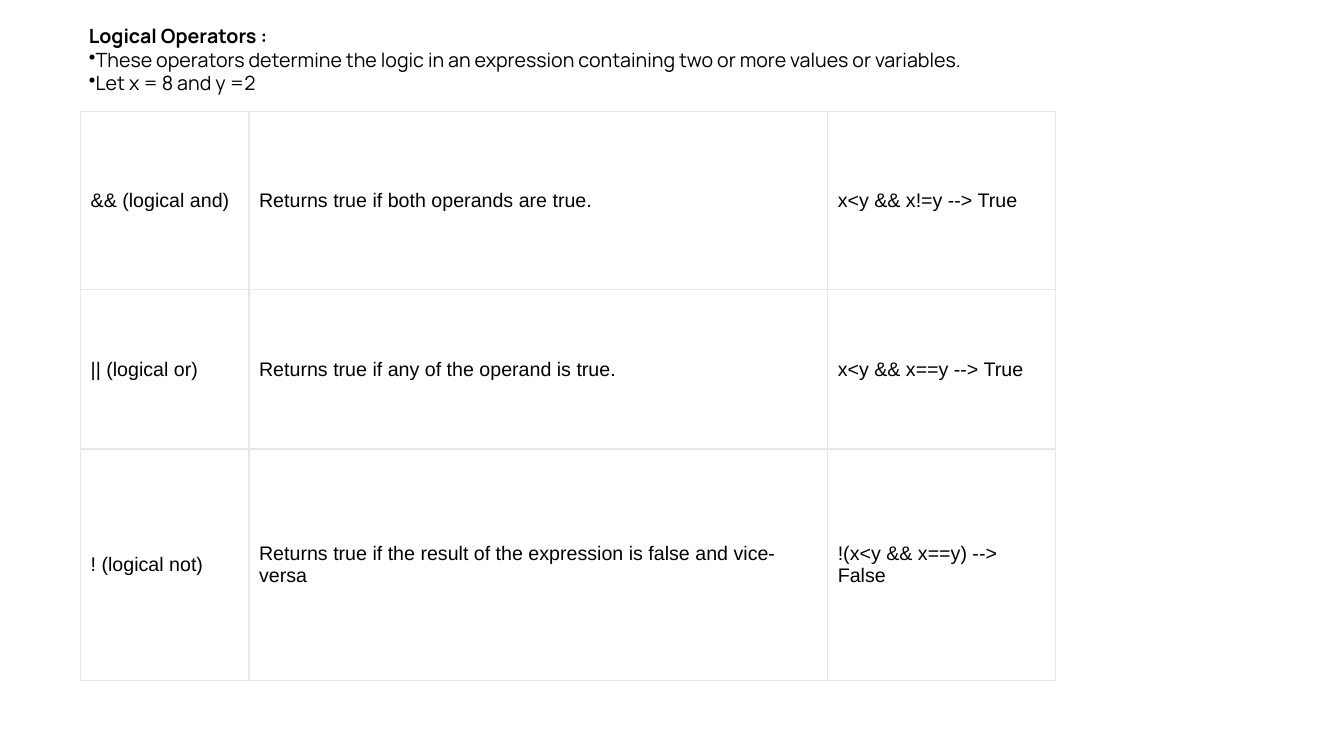
from lxml import etree
from pptx import Presentation, util as u
from pptx.dml.color import RGBColor
from pptx.enum import text
from pptx.oxml import ns

COLORS = {"ink": "000000", "rule": "E5E7EB"}

INTRO = [
    ("Logical Operators :", False),
    ("These operators determine the logic in an expression containing two or more values or variables.", True),
    ("Let x = 8 and y =2", True),
]

OPERATORS = [
    ("&& (logical and)", "Returns true if both operands are true.", "x<y && x!=y --> True"),
    ("|| (logical or)", "Returns true if any of the operand is true.", "x<y && x==y --> True"),
    ("! (logical not)", "Returns true if the result of the expression is false and vice-versa",
     "!(x<y && x==y) --> False"),
]


class OperatorSlide:
    """Holds the style and the slide; lengths are percent of the slide's size."""

    def __init__(self, deck):
        self.width, self.height = deck.slide_width, deck.slide_height
        self.slide = deck.slides.add_slide(deck.slide_layouts[6])
        self.size, self.rule_width = u.Pt(14), u.Pt(1)

    def across(self, share):
        return round(self.width * share / 100)

    def down(self, share):
        return round(self.height * share / 100)

    def box(self, left, top, width, height):
        return self.across(left), self.down(top), self.across(width), self.down(height)

    def add_words(self, paragraph, words, font, bold=False):
        run = paragraph.add_run()
        run.text = words
        for name, value in {"name": font, "size": self.size, "bold": bold}.items():
            setattr(run.font, name, value)
        run.font.color.rgb = RGBColor.from_string(COLORS["ink"])

    def add_intro(self, lines, area, inset):
        frame = self.slide.shapes.add_textbox(*self.box(*area)).text_frame
        layout = {
            "word_wrap": True,
            "vertical_anchor": text.MSO_ANCHOR.TOP,
            "margin_left": self.across(inset),
            "margin_top": 0,
            "margin_right": 0,
            "margin_bottom": 0,
        }
        for name, value in layout.items():
            setattr(frame, name, value)
        for index, (words, bulleted) in enumerate(lines):
            paragraph = frame.add_paragraph() if index else frame.paragraphs[0]
            self.add_words(paragraph, words, "Manrope", bold=not bulleted)
            if bulleted:
                properties = paragraph._p.get_or_add_pPr()
                properties.set("marL", "0")
                properties.set("indent", "0")
                etree.SubElement(properties, ns.qn("a:buChar"), char="•")

    def add_borders(self, cell):
        properties = cell._tc.get_or_add_tcPr()
        for side in ("lnL", "lnR", "lnT", "lnB"):
            line = etree.SubElement(properties, ns.qn(f"a:{side}"), w=str(self.rule_width))
            fill = etree.SubElement(line, ns.qn("a:solidFill"))
            etree.SubElement(fill, ns.qn("a:srgbClr"), val=COLORS["rule"])

    def add_operators(self, rows, left, top, widths, heights):
        area = self.box(left, top, sum(widths), sum(heights))
        table = self.slide.shapes.add_table(len(heights), len(widths), *area).table
        for name in ("first_row", "horz_banding"):
            setattr(table, name, False)
        for column, width in zip(table.columns, widths):
            column.width = self.across(width)
        for row, height, entries in zip(table.rows, heights, rows):
            row.height = self.down(height)
            for cell, words in zip(row.cells, entries):
                self.add_words(cell.text_frame.paragraphs[0], words, "Arial")
                cell.vertical_anchor = text.MSO_ANCHOR.MIDDLE
                self.add_borders(cell)
                cell.fill.background()


def main():
    deck = Presentation()
    deck.slide_width, deck.slide_height = u.Inches(13.33), u.Inches(7.5)
    page = OperatorSlide(deck)
    page.add_operators(OPERATORS, left=6, top=14.8,
                       widths=(12.53, 43.06, 16.95), heights=(23.5, 21.1, 30.6))
    page.add_intro(INTRO, area=(3.68, 3.2, 74.87, 15.73), inset=2.93)
    deck.save("out.pptx")


if __name__ == "__main__":
    main()
